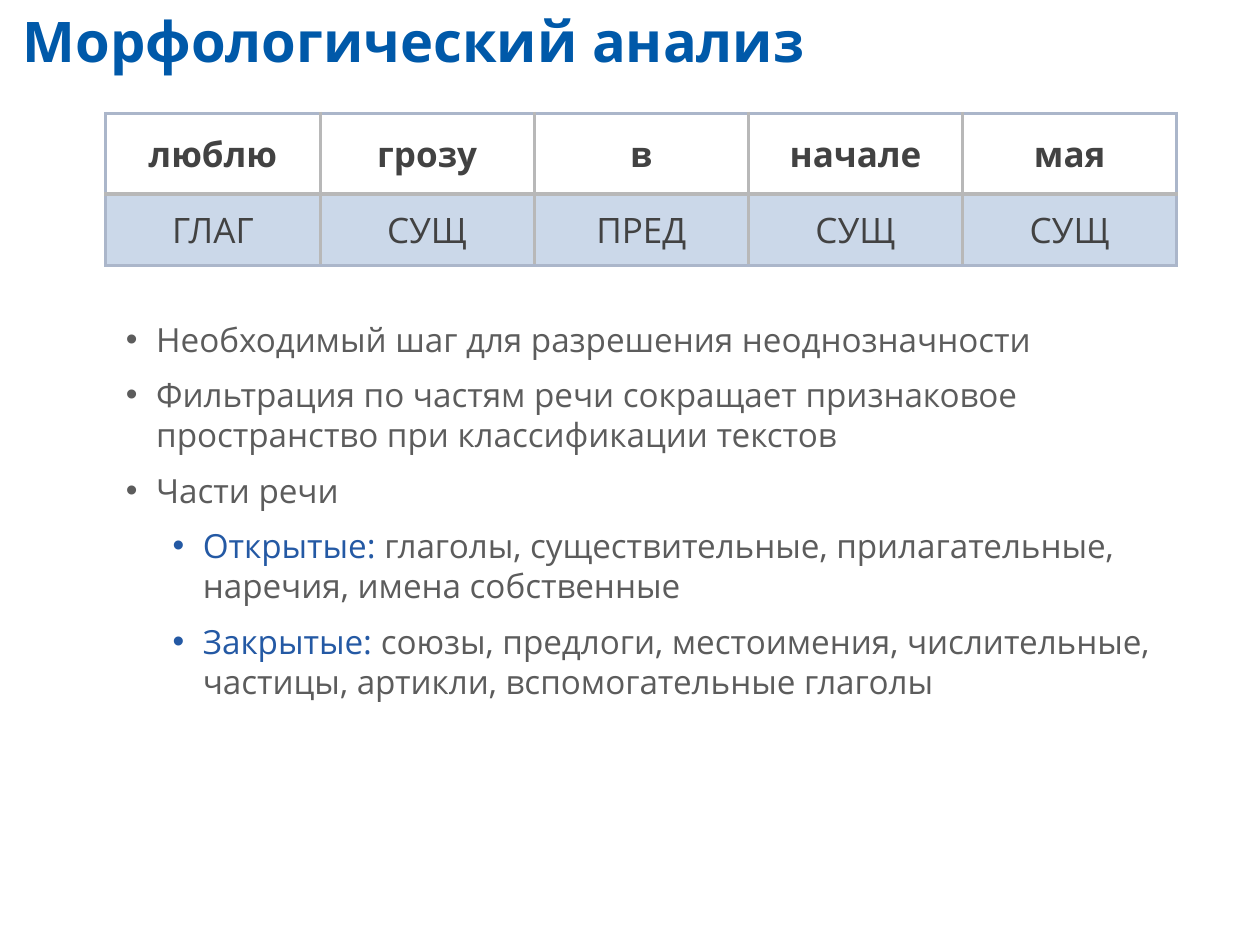
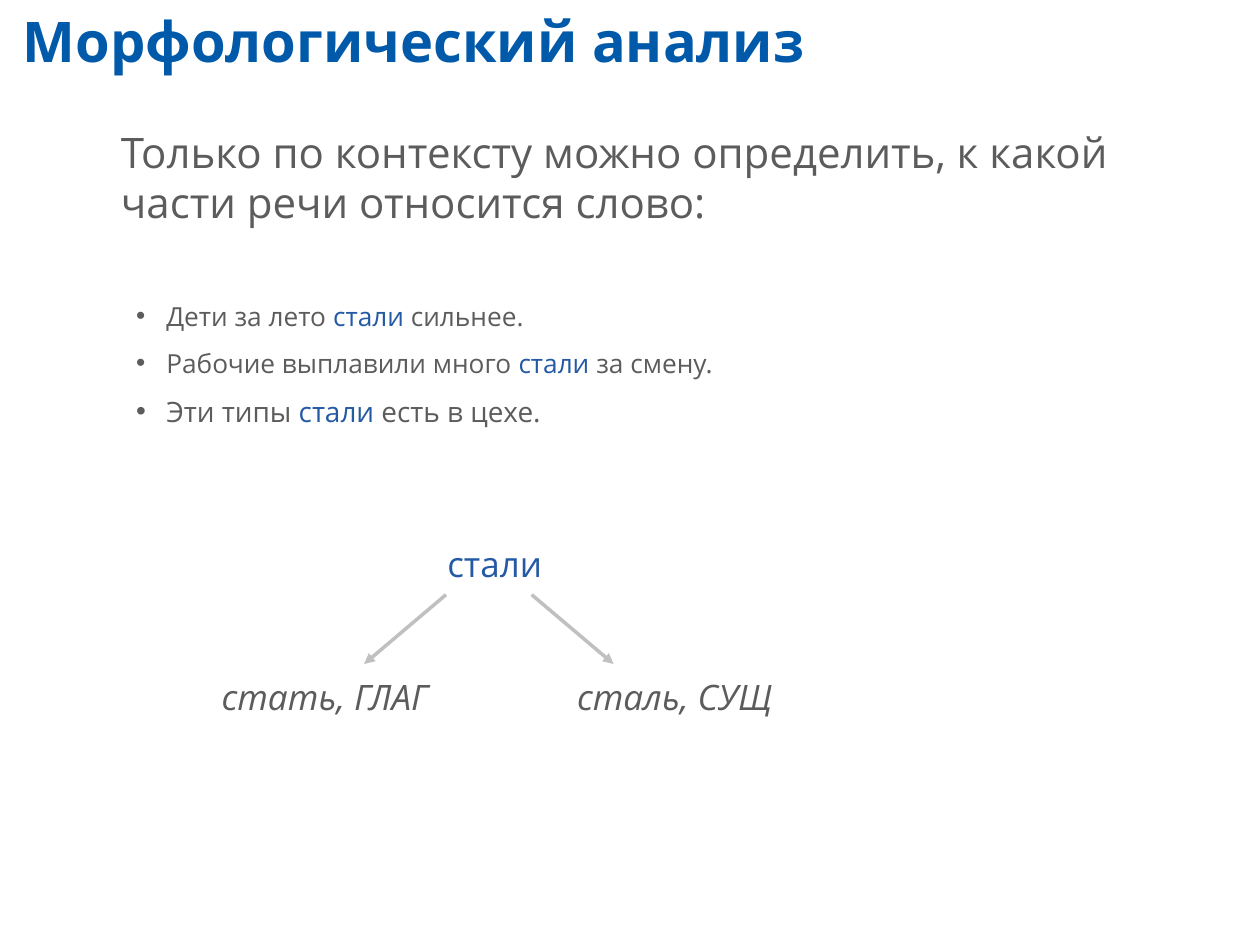
from lxml import etree
from pptx import Presentation
from pptx.dml.color import RGBColor
from pptx.enum import shapes, text
from pptx.oxml import ns
from pptx.util import Inches, Pt

FONT = "Open Sans"
TITLE, GREY, DARK, BLUE = "0059A9", "5C5C5C", "424242", "2459A4"
EDGE, GRID, ARROW = "ABB6CA", "B8B8B8", "C0C0C0"
WHITE, PALE = "FFFFFF", "CBD8E9"


def color(code):
    return RGBColor.from_string(code)


def node(parent, tag, **attrs):
    return etree.SubElement(parent, ns.qn(tag), attrs)


class Deck:
    def __init__(self):
        self.prs = Presentation()
        self.prs.slide_width, self.prs.slide_height = Inches(10), Inches(7.5)
        self.slide = None

    def start(self, title):
        """Add a slide with its title at the top left."""
        self.slide = self.prs.slides.add_slide(self.prs.slide_layouts[1])
        head = self.slide.shapes.title
        self.place(head, 0, 0, 10, 0.65)
        frame = self.frame(head, 0.1, 0.05)
        frame.text = title
        para = frame.paragraphs[0]
        para.alignment = text.PP_ALIGN.LEFT
        para._p.get_or_add_pPr().set("indent", str(Inches(0.08)))
        self.style(para.runs[0], 32, TITLE, bold=True)

    def place(self, shape, x, y, w, h):
        shape.left, shape.top = Inches(x), Inches(y)
        shape.width, shape.height = Inches(w), Inches(h)

    def frame(self, shape, side=0.03, edge=0.03, anchor=text.MSO_ANCHOR.TOP):
        frame = shape.text_frame
        frame.word_wrap = True
        frame.auto_size = text.MSO_AUTO_SIZE.NONE
        frame.vertical_anchor = anchor
        frame.margin_left = frame.margin_right = Inches(side)
        frame.margin_top = frame.margin_bottom = Inches(edge)
        return frame

    def style(self, run, size, code, bold=False, italic=False):
        font = run.font
        font.name, font.size = FONT, Pt(size)
        font.bold, font.italic = bold, italic
        font.color.rgb = color(code)

    def label(self, words, x, y, w, h, size=20, code=GREY, italic=False,
              anchor=text.MSO_ANCHOR.MIDDLE, pitch=None):
        box = self.slide.shapes.add_textbox(Inches(x), Inches(y), Inches(w), Inches(h))
        frame = self.frame(box, anchor=anchor)
        frame.text = words
        para = frame.paragraphs[0]
        para.line_spacing = pitch
        self.style(para.runs[0], size, code, italic=italic)

    def list(self, items, x, y, w, h):
        """Fill the body with (level, size, words); *words* are accented."""
        body = self.slide.placeholders[1]
        self.place(body, x, y, w, h)
        frame = self.frame(body)
        for i, (level, size, words) in enumerate(items):
            para = frame.add_paragraph() if i else frame.paragraphs[0]
            para.level = level
            props = para._p.get_or_add_pPr()
            props.set("marL", str(Inches(0.65 if level else 0.28)))
            props.set("indent", str(Inches(-0.24)))
            tint = node(props, "a:buClr")
            node(tint, "a:srgbClr", val=BLUE if level else GREY)
            node(props, "a:buChar", char="•")
            para.space_before = Pt(9 if i else 0)
            for j, part in enumerate(words.split("*")):
                if part:
                    run = para.add_run()
                    run.text = part
                    self.style(run, size, BLUE if j % 2 else GREY)
        return body

    def border(self, cell, sides):
        props = cell._tc.get_or_add_tcPr()
        for side, code in sides.items():
            line = node(props, "a:ln" + side, w=str(Pt(2)))
            node(node(line, "a:solidFill"), "a:srgbClr", val=code)

    def table(self, rows, x, y, width, heights):
        count = len(rows[0])
        grid = self.slide.shapes.add_table(
            len(rows), count, Inches(x), Inches(y),
            Inches(width * count), Inches(sum(heights))).table
        grid.first_row = grid.horz_banding = False
        for col in grid.columns:
            col.width = Inches(width)
        for r, row in enumerate(rows):
            grid.rows[r].height = Inches(heights[r])
            for c, word in enumerate(row):
                cell = grid.cell(r, c)
                self.border(cell, {
                    "L": GRID if c else EDGE,
                    "R": GRID if c < count - 1 else EDGE,
                    "T": GRID if r else EDGE,
                    "B": GRID if r < len(rows) - 1 else EDGE})
                cell.fill.solid()
                cell.fill.fore_color.rgb = color(PALE if r else WHITE)
                cell.vertical_anchor = text.MSO_ANCHOR.MIDDLE
                cell.margin_left = cell.margin_right = Inches(0.06)
                cell.margin_top = cell.margin_bottom = Inches(0.06)
                cell.text = word
                para = cell.text_frame.paragraphs[0]
                para.alignment = text.PP_ALIGN.CENTER
                self.style(para.runs[0], 20, DARK, bold=r == 0)

    def arrow(self, x1, y1, x2, y2):
        link = self.slide.shapes.add_connector(
            shapes.MSO_CONNECTOR.STRAIGHT,
            Inches(x1), Inches(y1), Inches(x2), Inches(y2))
        link.line.color.rgb = color(ARROW)
        link.line.width = Pt(2)
        node(link.line._get_or_add_ln(), "a:tailEnd", type="triangle")
        node(link._element.spPr, "a:effectLst")


def main():
    deck = Deck()
    topic = "Морфологический анализ"

    # Tagged sentence and parts of speech
    deck.start(topic)
    deck.table([["люблю", "грозу", "в", "начале", "мая"],
                ["ГЛАГ", "СУЩ", "ПРЕД", "СУЩ", "СУЩ"]],
               0.84, 0.9, 1.7, [0.64, 0.57])
    deck.list([
        (0, 19, "Необходимый шаг для разрешения неоднозначности"),
        (0, 19, "Фильтрация по частям речи сокращает признаковое "
                "пространство при классификации текстов"),
        (0, 19, "Части речи"),
        (1, 19, "*Открытые:* глаголы, существительные, прилагательные, "
                "наречия, имена собственные"),
        (1, 19, "*Закрытые: *союзы, предлоги, местоимения, числительные, "
                "частицы, артикли, вспомогательные глаголы"),
    ], 0.93, 2.5, 8.46, 4.35)

    # Examples of an ambiguous word
    deck.start(topic)
    deck.label("Только по контексту можно определить, к какой части речи "
               "относится слово:", 0.93, 0.97, 8.46, 0.79, size=24,
               anchor=text.MSO_ANCHOR.TOP)
    body = deck.list([
        (0, 15, "Дети за лето *стали* сильнее."),
        (0, 15, "Рабочие выплавили много *стали* за смену."),
        (0, 16, "Эти типы *стали* есть в цехе."),
    ], 1.01, 2.35, 5.78, 1.81)
    body.fill.solid()
    body.fill.fore_color.rgb = color(WHITE)

    # Word with its two readings
    deck.label("стали", 3.52, 4.28, 0.97, 0.39, code=BLUE)
    middle = 3.88
    for side, words, x, w in [(-1, "стать, ГЛАГ", 1.73, 2.03),
                              (1, "сталь, СУЩ", 4.55, 1.88)]:
        deck.arrow(middle + side * 0.34, 4.72, middle + side * 0.99, 5.27)
        deck.label(words, x, 5.53, w, 0.15, italic=True, pitch=0.3)

    deck.prs.save("out.pptx")


if __name__ == "__main__":
    main()
